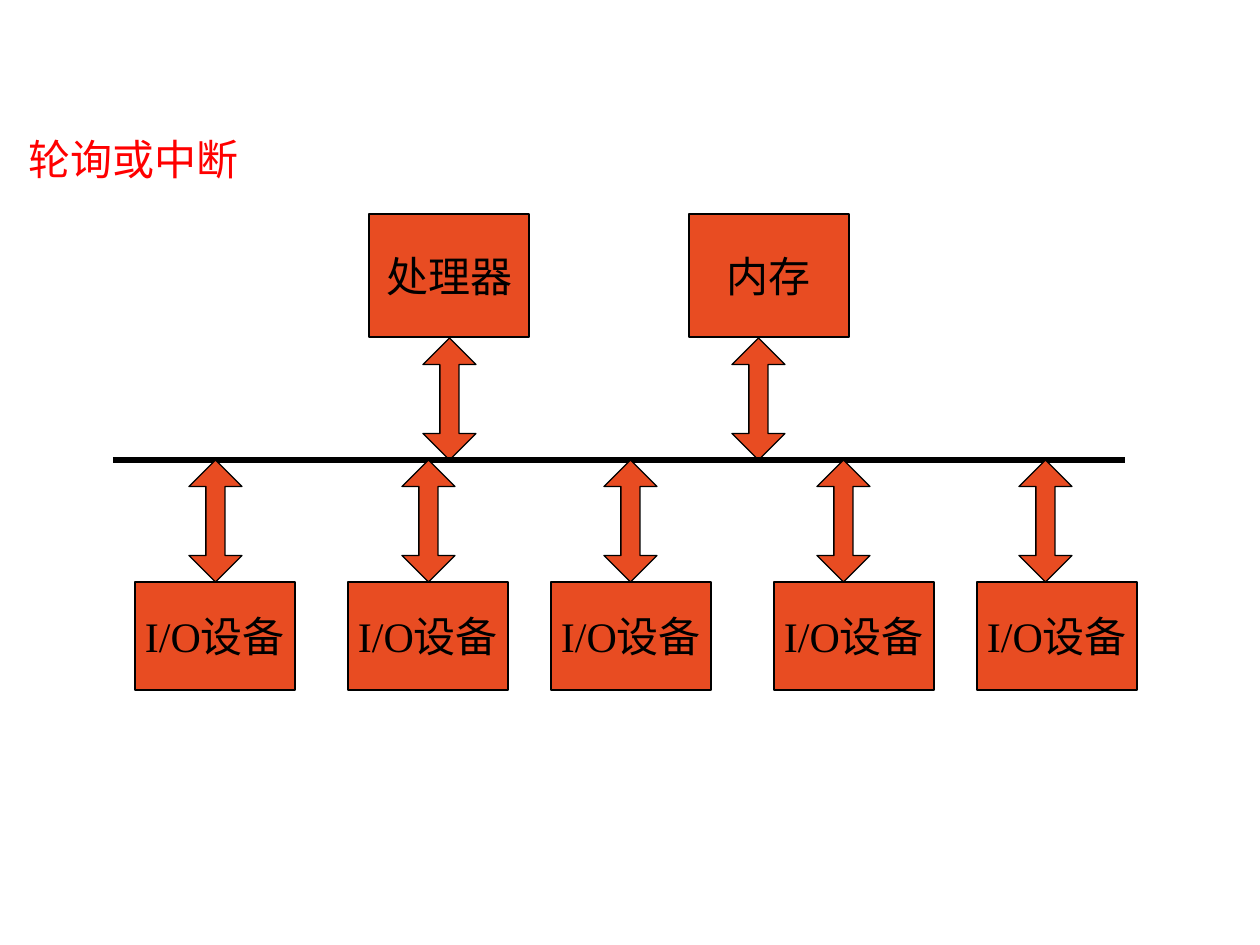
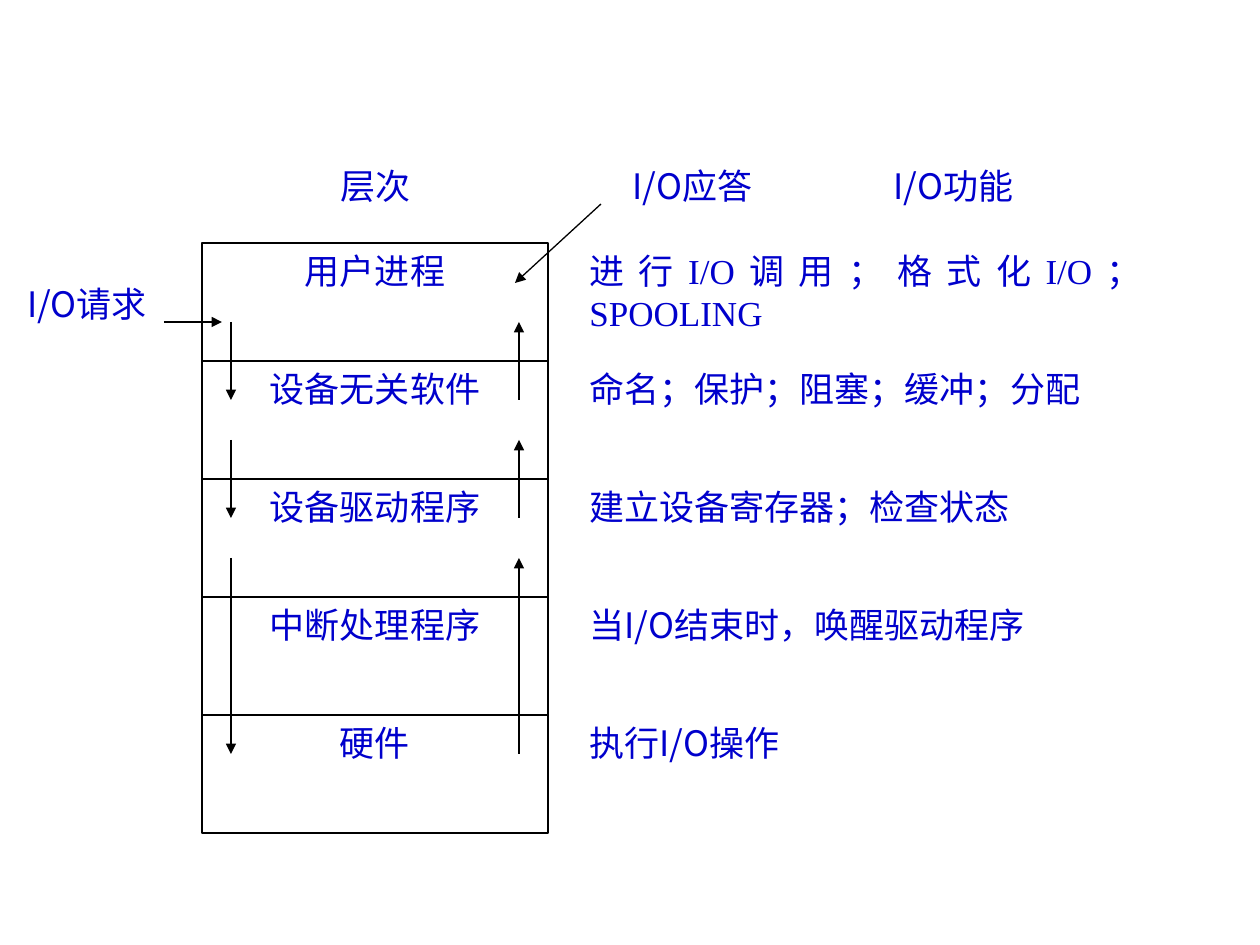
from lxml import etree
from pptx import Presentation
from pptx.dml.color import RGBColor
from pptx.enum.shapes import MSO_CONNECTOR, MSO_SHAPE
from pptx.enum.text import MSO_ANCHOR, MSO_AUTO_SIZE, PP_ALIGN
from pptx.oxml.ns import qn
from pptx.util import Emu, Pt

RECT, UP_DOWN = MSO_SHAPE.RECTANGLE, MSO_SHAPE.UP_DOWN_ARROW
STRAIGHT = MSO_CONNECTOR.STRAIGHT
TOP, MIDDLE = MSO_ANCHOR.TOP, MSO_ANCHOR.MIDDLE
LEFT, CENTER, JUSTIFY = PP_ALIGN.LEFT, PP_ALIGN.CENTER, PP_ALIGN.JUSTIFY
FIT_SHAPE = MSO_AUTO_SIZE.SHAPE_TO_FIT_TEXT

COLORS = {"orange": "E84C22", "black": "000000", "white": "FFFFFF",
          "red": "FF0000", "blue": "0000CC"}
SERIF, SANS, CJK = "Times New Roman", "Calibri", "Noto Sans CJK SC"
PX_PER_INCH = 126

# Slide 1: devices on a bus, as (label, box left, arrow left)
POLL_TITLE = "轮询或中断"
UPPER_UNITS = [("处理器", 369, 423), ("内存", 689, 732)]
DEVICE = "I/O设备"
DEVICES = [(DEVICE, 135, 189), (DEVICE, 348, 402), (DEVICE, 551, 604),
           (DEVICE, 774, 817), (DEVICE, 977, 1019)]
BUS_Y, BUS_LEFT, BUS_RIGHT = 460, 113, 1125
UNIT_W, UPPER_H, DEVICE_H = 160, 123, 108
ARROW_W, ARROW_H = 53, 122

# Slide 2: software layers, as (layer, function, font of the function)
LAYERS = [
    ("用户进程", "进行I/O调用；格式化I/O；SPOOLING", SERIF),
    ("设备无关软件", "命名；保护；阻塞；缓冲；分配", CJK),
    ("设备驱动程序", "建立设备寄存器；检查状态", CJK),
    ("中断处理程序", "当I/O结束时，唤醒驱动程序", CJK),
    ("硬件", "执行I/O操作", CJK),
]
CAPTIONS = [("层次", 260, 165, 231), ("I/O应答", 577, 165, 231),
            ("I/O功能", 838, 165, 231), ("I/O请求", 0, 283, 174)]
CAPTION_H = 78
LAYER_LEFT, LAYER_W = 202, 346
FUNCTION_LEFT, FUNCTION_W = 577, 577
LAYERS_TOP, LAYER_H = 243, 118
REQUEST_X, REPLY_X = 231, 519
CROSSINGS = [(1, 1), (2, 2), (3, 4)]  # first and last layer border crossed
OVERSHOOT = 39
ENTRY_ARROWS = [(164, 322, 222, 322), (601, 204, 515, 283)]


def px(n):
    return Emu(round(n * 914400 / PX_PER_INCH))


def rgb(name):
    return RGBColor.from_string(COLORS[name])


def write(sp, text, size, font, color, align=CENTER, anchor=TOP, wrap=True, inset=None):
    tf = sp.text_frame
    tf.word_wrap = wrap
    tf.vertical_anchor = anchor
    if inset is not None:
        tf.margin_left = tf.margin_top = tf.margin_right = tf.margin_bottom = px(inset)
    p = tf.paragraphs[0]
    p.text = text
    p.alignment = align
    f = p.runs[0].font
    f.size, f.name = Pt(size), font
    f.color.rgb = rgb(color)
    etree.SubElement(p.runs[0]._r.get_or_add_rPr(), qn("a:ea"), typeface=CJK)


def add_block(s, kind, x, y, w, h, fill, outlined=True):
    sp = s.shapes.add_shape(kind, px(x), px(y), px(w), px(h))
    sp.shadow.inherit = False
    sp.fill.solid()
    sp.fill.fore_color.rgb = rgb(fill)
    if outlined:
        sp.line.color.rgb = rgb("black")
        sp.line.width = Pt(0.75)
    else:
        sp.line.fill.background()
    return sp


def add_line(s, x1, y1, x2, y2, width=0.75, arrow=True):
    line = s.shapes.add_connector(STRAIGHT, px(x1), px(y1), px(x2), px(y2))
    line.line.color.rgb = rgb("black")
    line.line.width = Pt(width)
    if arrow:
        etree.SubElement(line.line._get_or_add_ln(), qn("a:tailEnd"), type="triangle")
    etree.SubElement(line._element.spPr, qn("a:effectLst"))


def add_units(s, units, box_y, box_h, arrow_y):
    for label, box_x, arrow_x in units:
        box = add_block(s, RECT, box_x, box_y, UNIT_W, box_h, "orange")
        write(box, label, 24, SERIF, "black", anchor=MIDDLE, wrap=False)
        arrow = add_block(s, UP_DOWN, arrow_x, arrow_y, ARROW_W, ARROW_H, "orange")
        arrow.adjustments[0], arrow.adjustments[1] = 0.5, 0.36


def build_bus_slide(s):
    add_units(s, UPPER_UNITS, BUS_Y - ARROW_H - UPPER_H - 1, UPPER_H, BUS_Y - ARROW_H)
    add_line(s, BUS_LEFT, BUS_Y, BUS_RIGHT, BUS_Y, width=3, arrow=False)
    add_units(s, DEVICES, BUS_Y + ARROW_H, DEVICE_H, BUS_Y)
    title = s.shapes.add_textbox(px(16), px(127), px(237), px(63))
    write(title, POLL_TITLE, 24, SANS, "red", align=LEFT, wrap=False)
    title.text_frame.auto_size = FIT_SHAPE


def build_layer_slide(s):
    # Layers and what each one does
    for i, (layer, function, font) in enumerate(LAYERS):
        y = LAYERS_TOP + i * LAYER_H
        box = add_block(s, RECT, LAYER_LEFT, y, LAYER_W, LAYER_H, "white")
        write(box, layer, 20, CJK, "blue")
        box = add_block(s, RECT, FUNCTION_LEFT, y, FUNCTION_W, LAYER_H, "white", outlined=False)
        write(box, function, 20, font, "blue", align=JUSTIFY)

    # Requests go down, replies come back up
    for first, last in CROSSINGS:
        upper = LAYERS_TOP + first * LAYER_H - OVERSHOOT
        lower = LAYERS_TOP + last * LAYER_H + OVERSHOOT
        add_line(s, REQUEST_X, upper, REQUEST_X, lower)
        add_line(s, REPLY_X, lower, REPLY_X, upper)
    for ends in ENTRY_ARROWS:
        add_line(s, *ends)

    # Captions
    for text, x, y, w in CAPTIONS:
        box = s.shapes.add_textbox(px(x), px(y), px(w), px(CAPTION_H))
        write(box, text, 20, CJK, "blue", inset=0)


def main():
    prs = Presentation()
    prs.slide_width, prs.slide_height = px(1260), px(945)
    for build in (build_bus_slide, build_layer_slide):
        build(prs.slides.add_slide(prs.slide_layouts[6]))
    prs.save("out.pptx")


if __name__ == "__main__":
    main()
